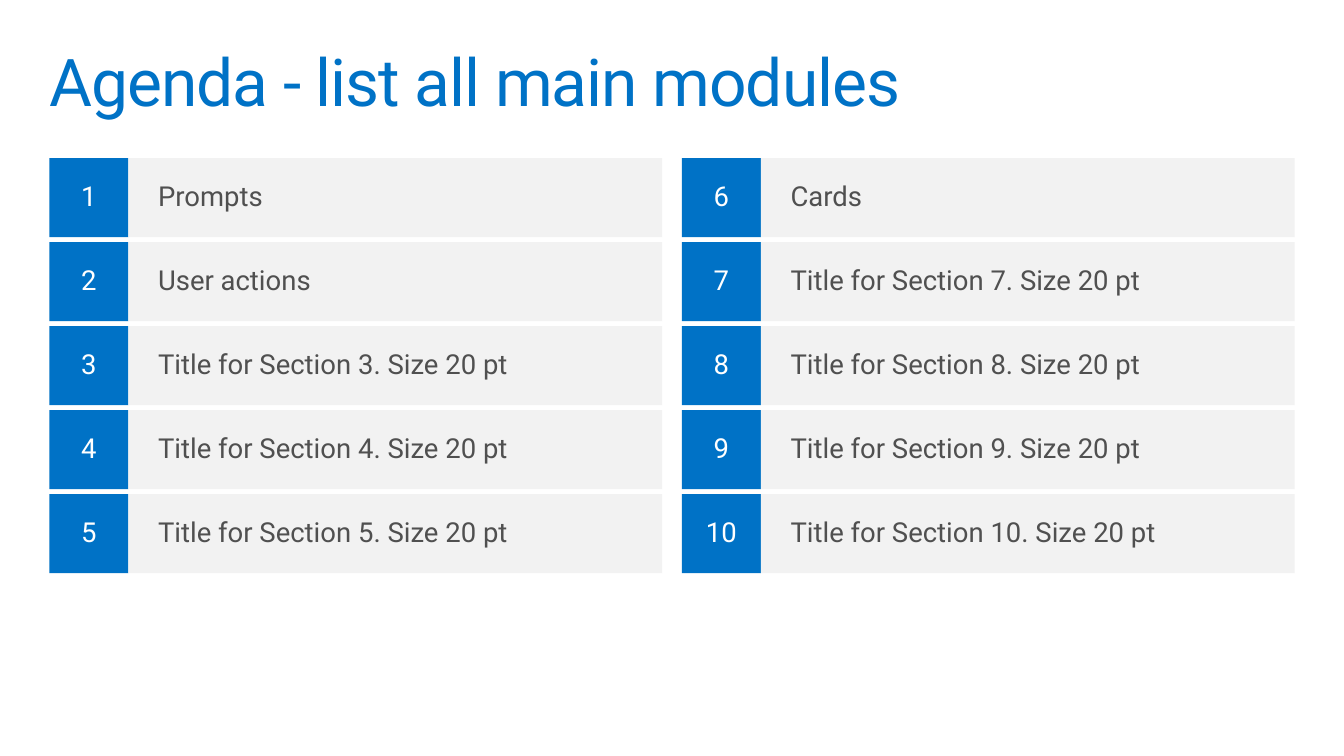
from pptx import Presentation
from pptx.dml.color import RGBColor
from pptx.enum.shapes import MSO_SHAPE
from pptx.enum.text import MSO_ANCHOR, PP_ALIGN
from pptx.util import Pt

TITLE = "Agenda - list all main modules"
SECTIONS = [
    "Prompts",
    "User actions",
    "Title for Section 3. Size 20 pt",
    "Title for Section 4. Size 20 pt",
    "Title for Section 5. Size 20 pt",
    "Cards",
    "Title for Section 7. Size 20 pt",
    "Title for Section 8. Size 20 pt",
    "Title for Section 9. Size 20 pt",
    "Title for Section 10. Size 20 pt",
]

FONT = "Roboto"
BLUE = RGBColor(0x00, 0x72, 0xC6)
LIGHT_GRAY = RGBColor(0xF2, 0xF2, 0xF2)
DARK_GRAY = RGBColor(0x50, 0x50, 0x50)
WHITE = RGBColor(0xFF, 0xFF, 0xFF)

ROWS_PER_COLUMN = 5
GRID_LEFT, GRID_TOP = 36, 115.2
COLUMN_STEP, ROW_STEP = 460.8, 61.2
NUMBER_SIZE, LABEL_WIDTH = 57.6, 388.8


def write_text(shape, text, size, color, align, anchor, inset_x, inset_y):
    frame = shape.text_frame
    frame.word_wrap = True
    frame.vertical_anchor = anchor
    frame.margin_left = frame.margin_right = Pt(inset_x)
    frame.margin_top = frame.margin_bottom = Pt(inset_y)
    para = frame.paragraphs[0]
    para.alignment = align
    para.line_spacing = 0.9
    para.space_before = Pt(0)
    span = para.add_run()
    span.text = text
    span.font.name = FONT
    span.font.size = Pt(size)
    span.font.color.rgb = color
    return span


def add_box(page, left, top, width, fill, text, color, align, inset_x, inset_y):
    box = page.shapes.add_shape(
        MSO_SHAPE.RECTANGLE, Pt(left), Pt(top), Pt(width), Pt(NUMBER_SIZE))
    box.shadow.inherit = False
    box.fill.solid()
    box.fill.fore_color.rgb = fill
    box.line.fill.background()
    write_text(box, text, 20, color, align, MSO_ANCHOR.MIDDLE, inset_x, inset_y)


def add_title(page):
    title = page.shapes.title
    title.left, title.top = Pt(28.8), Pt(28.8)
    title.width, title.height = Pt(921.6), Pt(72)
    span = write_text(title, TITLE, 48, BLUE, PP_ALIGN.LEFT, MSO_ANCHOR.TOP, 7.2, 7.2)
    span.font._element.set("spc", "-70")


def add_agenda(page):
    for index, section in enumerate(SECTIONS):
        column, row = divmod(index, ROWS_PER_COLUMN)
        left = GRID_LEFT + column * COLUMN_STEP
        top = GRID_TOP + row * ROW_STEP
        add_box(page, left, top, NUMBER_SIZE, BLUE,
                str(index + 1), WHITE, PP_ALIGN.CENTER, 14.4, 11.52)
        add_box(page, left + NUMBER_SIZE, top, LABEL_WIDTH, LIGHT_GRAY,
                section, DARK_GRAY, PP_ALIGN.LEFT, 21.6, 7.2)


def main():
    deck = Presentation()
    deck.slide_width, deck.slide_height = Pt(979.2), Pt(550.8)
    page = deck.slides.add_slide(deck.slide_layouts.get_by_name("Title Only"))
    add_title(page)
    add_agenda(page)
    deck.save("out.pptx")


if __name__ == "__main__":
    main()
